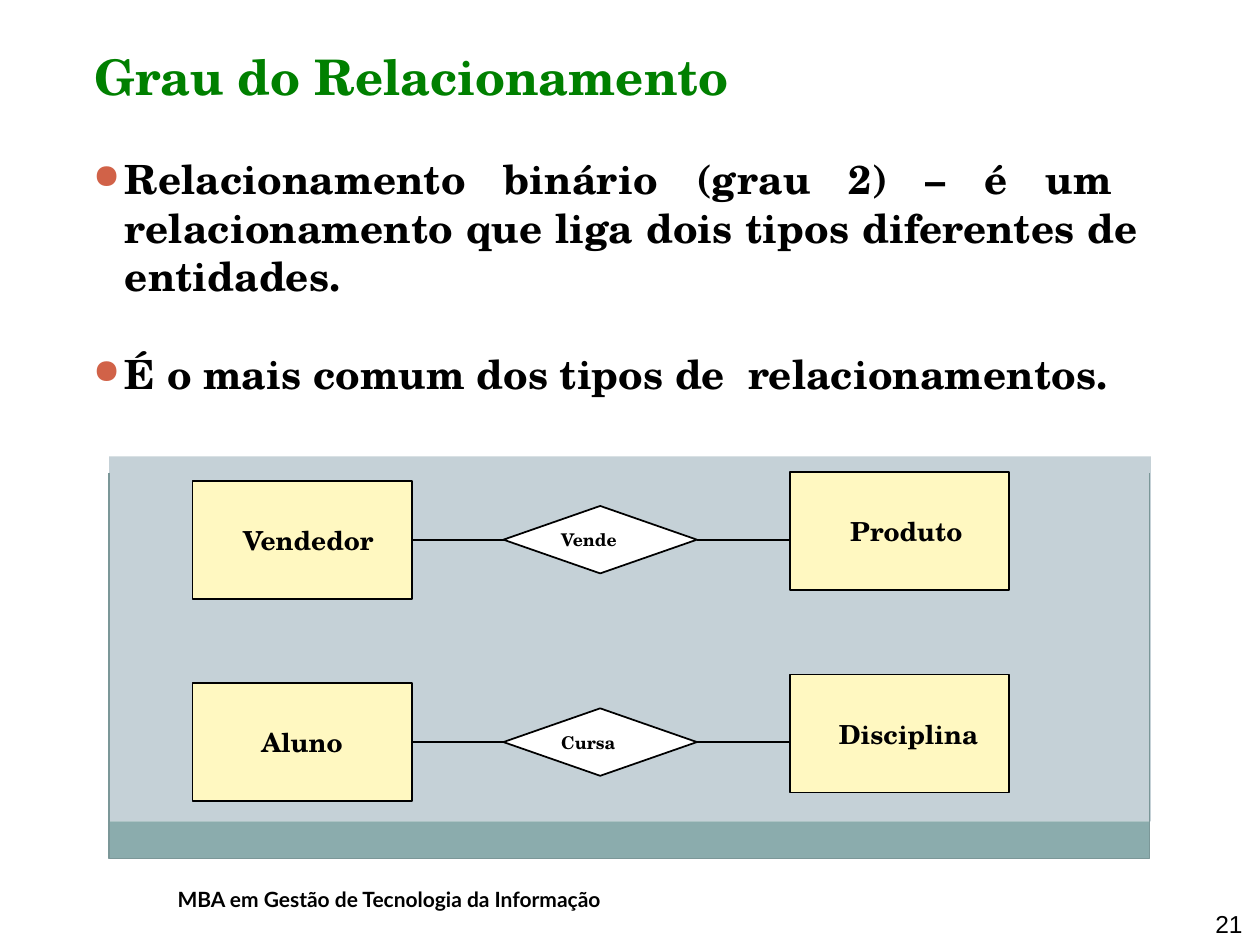
from lxml import etree
from pptx import Presentation
from pptx.dml.color import RGBColor as Rgb
from pptx.enum.shapes import MSO_CONNECTOR as Link, MSO_SHAPE as Preset
from pptx.enum.text import MSO_ANCHOR as Anchor, MSO_AUTO_SIZE as AutoSize, PP_ALIGN as Align
from pptx.oxml.ns import qn
from pptx.util import Cm, Pt

COLORS = {
    "text": "000000",
    "title": "008000",
    "bullet": "D16248",
    "panel": "C5D1D7",
    "band": "8BACAD",
    "frame": "7B9798",
    "entity": "FFF8C1",
    "relation": "FFFFFF",
}


def color(name):
    return Rgb.from_string(COLORS[name])


def write(paragraph, text, *, size, font="TeX Gyre Schola", bold=True,
          ink="text", align=Align.LEFT, before=0, bullet=None):
    paragraph.alignment = align
    if before:
        paragraph.space_before = Pt(before)
    if bullet:
        properties = paragraph._p.get_or_add_pPr()
        properties.set("marL", str(Cm(0.69)))
        properties.set("indent", str(Cm(-0.64)))
        tint = etree.SubElement(properties, qn("a:buClr"))
        etree.SubElement(tint, qn("a:srgbClr"), val=COLORS["bullet"])
        etree.SubElement(properties, qn("a:buSzPct"), val="85000")
        etree.SubElement(properties, qn("a:buChar"), char=bullet)
    run = paragraph.add_run()
    run.text = text
    run.font.name = font
    run.font.size = Pt(size)
    run.font.bold = bold
    run.font.color.rgb = color(ink)


class Board:
    entity_width, entity_height = 4.42, 2.38
    relation_width, relation_height = 3.9, 1.36
    entity_left, entity_right, relation_left = 3.88, 15.92, 10.15
    right_lift = 0.17

    def __init__(self, deck):
        self.slide = deck.slides.add_slide(deck.slide_layouts[5])
        self.shapes = self.slide.shapes

    def frame_of(self, shape, anchor, margins=(0, 0, 0, 0), wrap=True):
        frame = shape.text_frame
        frame.auto_size = AutoSize.NONE
        frame.word_wrap = wrap
        frame.vertical_anchor = anchor
        (frame.margin_left, frame.margin_top,
         frame.margin_right, frame.margin_bottom) = map(Cm, margins)
        return frame

    def title(self, text, left, top, width, height):
        heading = self.shapes.title
        heading.left, heading.top = Cm(left), Cm(top)
        heading.width, heading.height = Cm(width), Cm(height)
        frame = self.frame_of(heading, Anchor.TOP, wrap=False)
        write(frame.paragraphs[0], text, size=28, ink="title", align=Align.CENTER)

    def text_box(self, left, top, width, height, **layout):
        box = self.shapes.add_textbox(Cm(left), Cm(top), Cm(width), Cm(height))
        return self.frame_of(box, **layout)

    def bullets(self, items, left, top, width, height, gap):
        frame = self.text_box(left, top, width, height, anchor=Anchor.TOP)
        for index, item in enumerate(items):
            paragraph = frame.add_paragraph() if index else frame.paragraphs[0]
            write(paragraph, item, size=23, align=Align.JUSTIFY,
                  before=gap if index else 0, bullet="●")

    def note(self, text, left, top, width, height, anchor, **style):
        frame = self.text_box(left, top, width, height, anchor=anchor,
                              margins=(0.25, 0.13, 0.25, 0.13))
        write(frame.paragraphs[0], text, **style)

    def block(self, preset, left, top, width, height, fill, outlined=False):
        block = self.shapes.add_shape(preset, Cm(left), Cm(top), Cm(width), Cm(height))
        block.shadow.inherit = False
        block.fill.solid()
        block.fill.fore_color.rgb = color(fill)
        if outlined:
            block.line.color.rgb = color("text")
            block.line.width = Pt(1)
        else:
            block.line.fill.background()
        return block

    def panel_edge(self, left, top, right, bottom):
        builder = self.shapes.build_freeform(Cm(left), Cm(top))
        builder.add_line_segments(
            [(Cm(left), Cm(bottom)), (Cm(right), Cm(bottom)), (Cm(right), Cm(top))],
            close=False)
        edge = builder.convert_to_shape()
        edge.shadow.inherit = False
        edge.fill.background()
        edge.line.color.rgb = color("frame")
        edge.line.width = Pt(0.75)

    def link(self, start, end, axis):
        link = self.shapes.add_connector(Link.STRAIGHT, Cm(start), Cm(axis), Cm(end), Cm(axis))
        link.line.color.rgb = color("text")
        link.line.width = Pt(1.19)
        etree.SubElement(link._element.spPr, qn("a:effectLst"))

    def entity(self, name, left, middle, indent, align=Align.LEFT):
        entity = self.block(Preset.RECTANGLE, left, middle - self.entity_height / 2,
                            self.entity_width, self.entity_height, "entity", True)
        frame = self.frame_of(entity, Anchor.MIDDLE, (indent, 0, 0, 0))
        write(frame.paragraphs[0], name, size=15, align=align)

    def relation(self, name, middle):
        relation = self.block(Preset.DIAMOND, self.relation_left,
                              middle - self.relation_height / 2,
                              self.relation_width, self.relation_height, "relation", True)
        frame = self.frame_of(relation, Anchor.MIDDLE, (0.19, 0, 0, 0))
        write(frame.paragraphs[0], name, size=10)

    def relationship(self, axis, first, verb, second):
        self.link(self.entity_left + self.entity_width, self.relation_left, axis)
        self.link(self.relation_left + self.relation_width, self.entity_right, axis)
        self.entity(left=self.entity_left, middle=axis, **first)
        self.entity(left=self.entity_right, middle=axis - self.right_lift, **second)
        self.relation(verb, axis)


def main():
    deck = Presentation()
    deck.slide_width, deck.slide_height = Cm(25.4), Cm(19.05)
    board = Board(deck)

    board.title("Grau do Relacionamento", 1.88, 0.94, 12.83, 1.24)
    board.bullets(
        ["Relacionamento binário (grau 2) – é um  relacionamento que liga dois tipos "
         "diferentes de  entidades.",
         "É o mais comum dos tipos de  relacionamentos."],
        1.83, 3.12, 21.39, 4.95, gap=28.5)

    board.block(Preset.RECTANGLE, 2.2, 9.2, 21, 7.36, "panel")
    board.block(Preset.RECTANGLE, 2.2, 16.56, 20.98, 0.74, "band")
    board.panel_edge(2.2, 9.53, 23.18, 17.31)

    relationships = [
        (dict(name="Vendedor", indent=1.02), "Vende", dict(name="Produto", indent=1.22)),
        (dict(name="Aluno", indent=0, align=Align.CENTER), "Cursa",
         dict(name="Disciplina", indent=0.99)),
    ]
    for row, (first, verb, second) in enumerate(relationships):
        board.relationship(10.88 + 4.08 * row, first, verb, second)

    board.note("MBA em Gestão de Tecnologia da Informação", 3.33, 17.75, 10.08, 0.76,
               Anchor.MIDDLE, size=12, font="Lato")
    board.note("21", 24, 18.26, 1.3, 0.79, Anchor.BOTTOM,
               size=14, font="Arial", bold=False, align=Align.RIGHT)

    deck.save("out.pptx")


if __name__ == "__main__":
    main()
